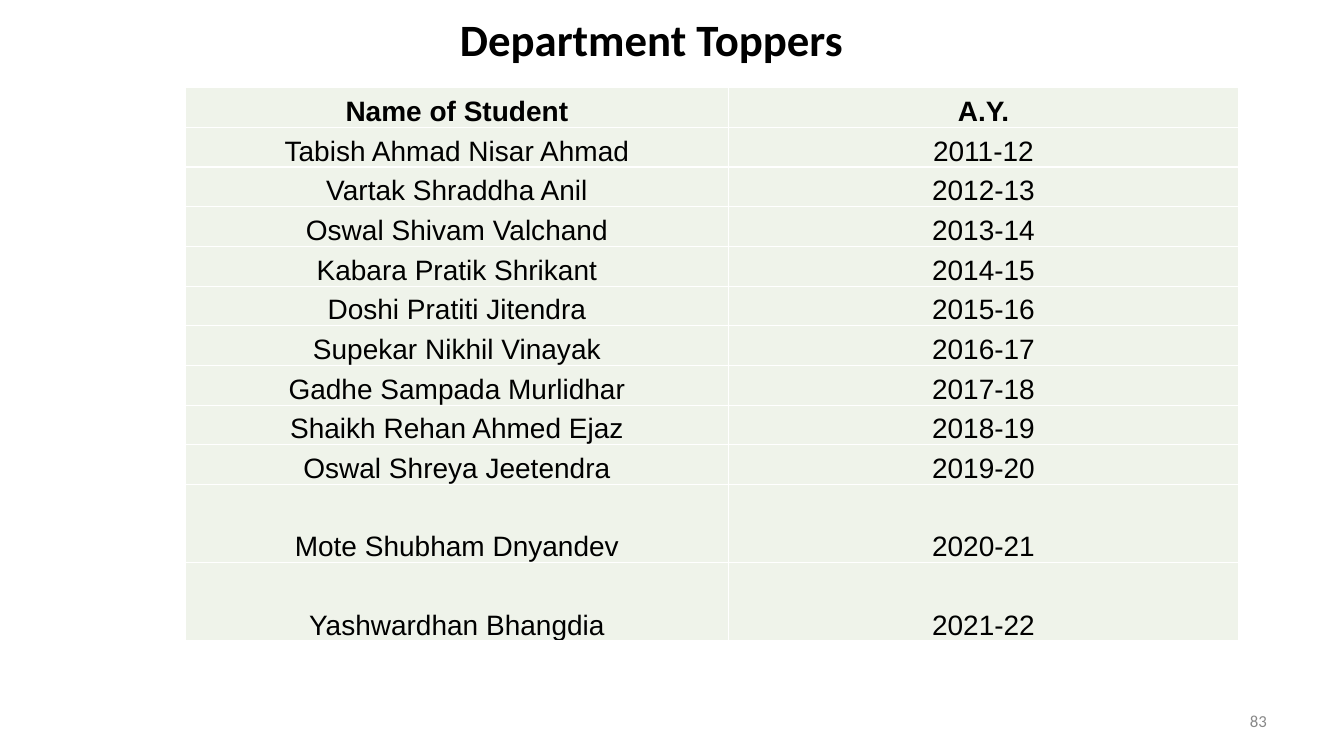
from lxml import etree
from pptx import Presentation
from pptx.dml.color import RGBColor
from pptx.enum.text import MSO_ANCHOR, MSO_AUTO_SIZE, PP_ALIGN
from pptx.oxml.ns import qn
from pptx.util import Cm, Pt

TOP, MIDDLE, BOTTOM = MSO_ANCHOR.TOP, MSO_ANCHOR.MIDDLE, MSO_ANCHOR.BOTTOM
CENTER, RIGHT = PP_ALIGN.CENTER, PP_ALIGN.RIGHT
NO_AUTOFIT = MSO_AUTO_SIZE.NONE
TITLE_ONLY = 5

BLACK, GRAY, WHITE, PALE_GREEN = "000000", "888888", "FFFFFF", "EFF3EA"
COLUMN_WIDTHS = (13.67, 12.87)
ROW_HEIGHT, TALL_ROW_HEIGHT = 1, 1.97
TALL_ROWS = 2
FIRST_YEAR = 2011
STUDENTS = [
    "Tabish Ahmad Nisar Ahmad",
    "Vartak Shraddha Anil",
    "Oswal Shivam Valchand",
    "Kabara Pratik Shrikant",
    "Doshi Pratiti Jitendra",
    "Supekar Nikhil Vinayak",
    "Gadhe Sampada Murlidhar",
    "Shaikh Rehan Ahmed Ejaz",
    "Oswal Shreya Jeetendra",
    "Mote Shubham Dnyandev",
    "Yashwardhan Bhangdia",
]


def rgb(color):
    return RGBColor.from_string(color)


def write(tf, text, size, font="Calibri", color=BLACK, bold=False, align=CENTER):
    p = tf.paragraphs[0]
    p.alignment = align
    r = p.add_run()
    r.text = text
    r.font.name = font
    r.font.size = Pt(size)
    r.font.bold = bold
    r.font.color.rgb = rgb(color)


def set_borders(cell, color, width):
    tcPr = cell._tc.get_or_add_tcPr()
    for i, side in enumerate(("lnL", "lnR", "lnT", "lnB")):
        ln = etree.Element(qn(f"a:{side}"), w=str(Pt(width)))
        fill = etree.SubElement(ln, qn("a:solidFill"))
        etree.SubElement(fill, qn("a:srgbClr"), val=color)
        tcPr.insert(i, ln)


def add_title(s, x, y, w, h):
    title = s.shapes.title
    title.left, title.top, title.width, title.height = Cm(x), Cm(y), Cm(w), Cm(h)
    tf = title.text_frame
    tf.auto_size = NO_AUTOFIT
    tf.vertical_anchor = TOP
    write(tf, "Department Toppers", 32, bold=True)


def add_toppers_table(s, x, y, w, h):
    rows = [("Name of Student", "A.Y.")]
    for year, student in enumerate(STUDENTS, FIRST_YEAR):
        rows.append((student, f"{year}-{(year + 1) % 100}"))
    frame = s.shapes.add_table(len(rows), len(COLUMN_WIDTHS), Cm(x), Cm(y), Cm(w), Cm(h))
    table = frame.table
    for column, width in zip(table.columns, COLUMN_WIDTHS):
        column.width = Cm(width)
    for i, values in enumerate(rows):
        tall = i >= len(rows) - TALL_ROWS
        table.rows[i].height = Cm(TALL_ROW_HEIGHT if tall else ROW_HEIGHT)
        for j, value in enumerate(values):
            cell = table.cell(i, j)
            cell.fill.solid()
            cell.fill.fore_color.rgb = rgb(PALE_GREEN)
            cell.margin_left = cell.margin_right = cell.margin_top = Cm(0.03)
            cell.margin_bottom = 0
            cell.vertical_anchor = BOTTOM
            set_borders(cell, WHITE, 1)
            write(cell.text_frame, value, 20, font="Arial", bold=i == 0)


def add_slide_number(s, x, y, w, h):
    sp = s.shapes.add_textbox(Cm(x), Cm(y), Cm(w), Cm(h))
    tf = sp.text_frame
    tf.word_wrap = True
    tf.vertical_anchor = MIDDLE
    write(tf, "83", 12, color=GRAY, align=RIGHT)


def main():
    prs = Presentation()
    prs.slide_width, prs.slide_height = Cm(33.87), Cm(19.05)
    s = prs.slides.add_slide(prs.slide_layouts[TITLE_ONLY])
    add_title(s, 0.95, 0.18, 30.94, 1.63)
    add_toppers_table(s, 4.68, 2.21, 26.54, 13.94)
    add_slide_number(s, 24.28, 17.65, 7.9, 1.02)
    prs.save("out.pptx")


if __name__ == "__main__":
    main()
